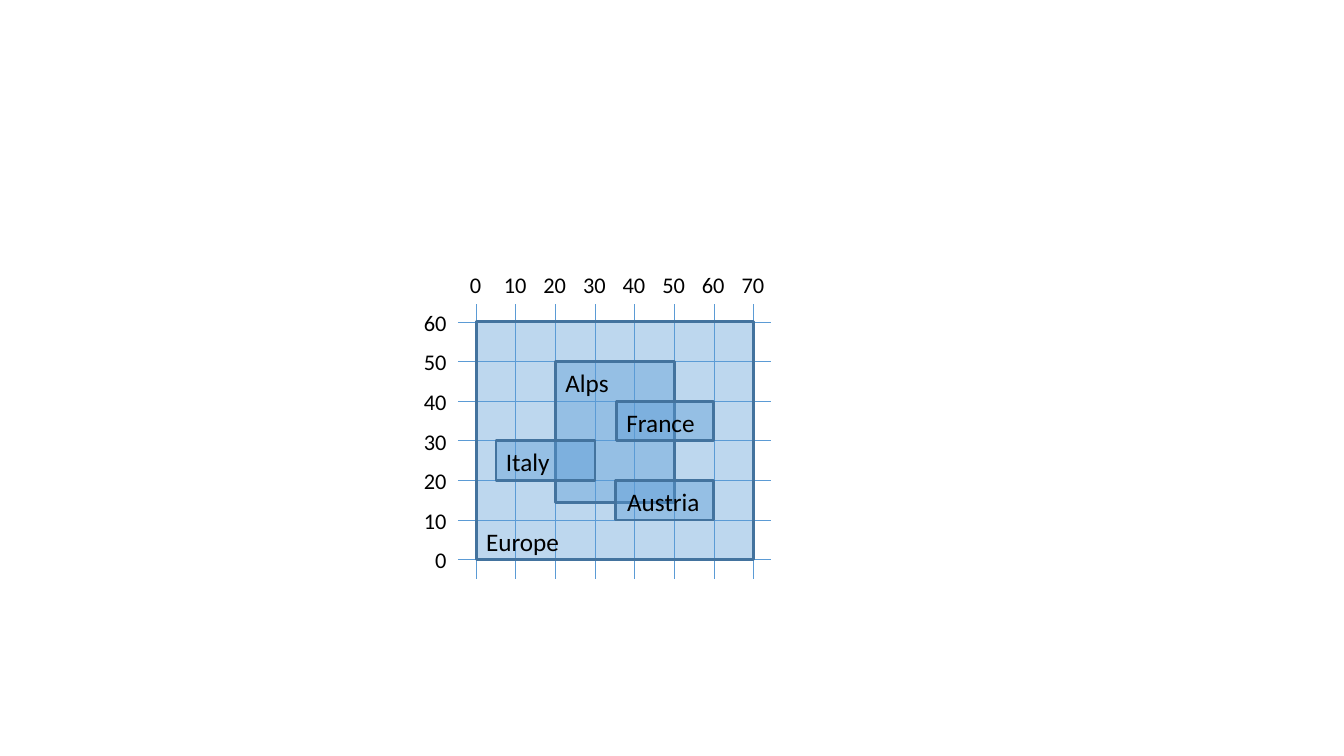
"""Builds a slide with overlapping map regions on a coordinate grid."""
from lxml.etree import SubElement
from pptx import Presentation
from pptx.dml.color import RGBColor
from pptx.enum.shapes import MSO_CONNECTOR as Connector, MSO_SHAPE as Shape
from pptx.enum.text import MSO_AUTO_SIZE as AutoSize, PP_ALIGN as Align
from pptx.oxml.ns import qn
from pptx.util import Pt

COLORS = {"grid": "5B9BD5", "region": "5B9BD5", "border": "43739E", "text": "000000"}
ORIGIN_X, ORIGIN_Y = 340.16, 399.74
UNIT = 2.83
X_TICKS, Y_TICKS = range(0, 71, 10), range(0, 61, 10)
OVERHANG = {"left": 13, "right": 12.5, "top": 12.5, "bottom": 14.2}
TICK_HEIGHT, LABEL_HEIGHT = 26.6, 29

# name: west, south, east, north, label west, label north, label width
REGIONS = {
    "Europe": (0, 0, 70, 60, 0, 10, 67),
    "Alps": (20, 14.3, 50, 50, 20, 50, 46),
    "France": (35.4, 30, 60, 40, 35.4, 40, 70),
    "Italy": (5, 20, 30, 30, 5, 30, 54),
    "Austria": (35.2, 10, 60, 20, 35.6, 20, 67),
}


def color(name):
    return RGBColor.from_string(COLORS[name])


def map_x(value):
    return ORIGIN_X + value * UNIT


def map_y(value):
    return ORIGIN_Y - value * UNIT


def add_text(page, text, left, top, width, height, size=18, align=Align.LEFT, wrap=False):
    box = page.shapes.add_textbox(Pt(left), Pt(top), Pt(width), Pt(height))
    frame = box.text_frame
    frame.word_wrap = wrap
    frame.auto_size = AutoSize.SHAPE_TO_FIT_TEXT
    para = frame.paragraphs[0]
    para.alignment = align
    span = para.add_run()
    span.text = text
    span.font.size = Pt(size)
    span.font.name = "Calibri"
    span.font.color.rgb = color("text")


def add_grid_line(group, start_x, start_y, end_x, end_y):
    line = group.shapes.add_connector(
        Connector.STRAIGHT, Pt(start_x), Pt(start_y), Pt(end_x), Pt(end_y))
    line.line.color.rgb = color("grid")
    line.line.width = Pt(0.5)
    SubElement(line._element.spPr, qn("a:effectLst"))


def add_grid(page):
    columns = page.shapes.add_group_shape()
    top = map_y(Y_TICKS[-1]) - OVERHANG["top"]
    for tick in X_TICKS:
        add_grid_line(columns, map_x(tick), top, map_x(tick), ORIGIN_Y + OVERHANG["bottom"])
    rows = page.shapes.add_group_shape()
    right = map_x(X_TICKS[-1]) + OVERHANG["right"]
    for tick in Y_TICKS:
        add_grid_line(rows, ORIGIN_X - OVERHANG["left"], map_y(tick), right, map_y(tick))


def add_tick_labels(page):
    for tick in X_TICKS:
        add_text(page, str(tick), map_x(tick) - 16, 190, 31, TICK_HEIGHT,
                 size=16, align=Align.CENTER)
    for tick in Y_TICKS:
        add_text(page, str(tick), 291, map_y(tick) - 12.9, 35, TICK_HEIGHT,
                 size=16, align=Align.RIGHT, wrap=True)


def add_region(page, west, south, east, north):
    region = page.shapes.add_shape(
        Shape.RECTANGLE, Pt(map_x(west)), Pt(map_y(north)),
        Pt((east - west) * UNIT), Pt((north - south) * UNIT))
    region.shadow.inherit = False
    region.fill.solid()
    region.fill.fore_color.rgb = color("region")
    fill_color = region._element.spPr.find(qn("a:solidFill"))[0]
    SubElement(fill_color, qn("a:alpha")).set("val", "40000")
    region.line.color.rgb = color("border")
    region.line.width = Pt(2)


def main():
    deck = Presentation()
    deck.slide_width, deck.slide_height = Pt(960), Pt(540)
    page = deck.slides.add_slide(deck.slide_layouts[6])
    add_grid(page)
    add_tick_labels(page)
    for name, (west, south, east, north, label_x, label_y, width) in REGIONS.items():
        add_region(page, west, south, east, north)
        add_text(page, name, map_x(label_x), map_y(label_y) + 0.7, width, LABEL_HEIGHT)
    deck.save("out.pptx")


main()
